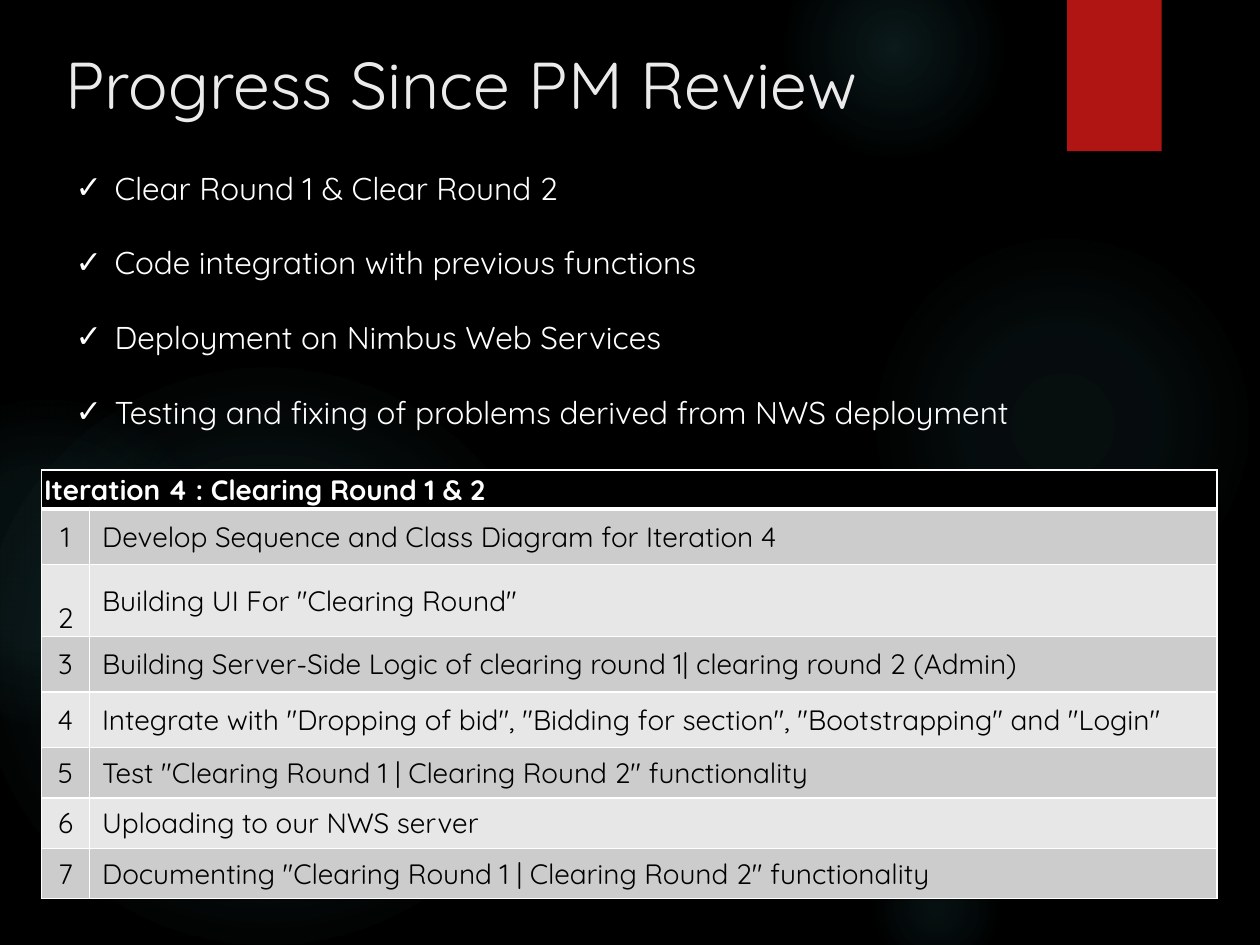
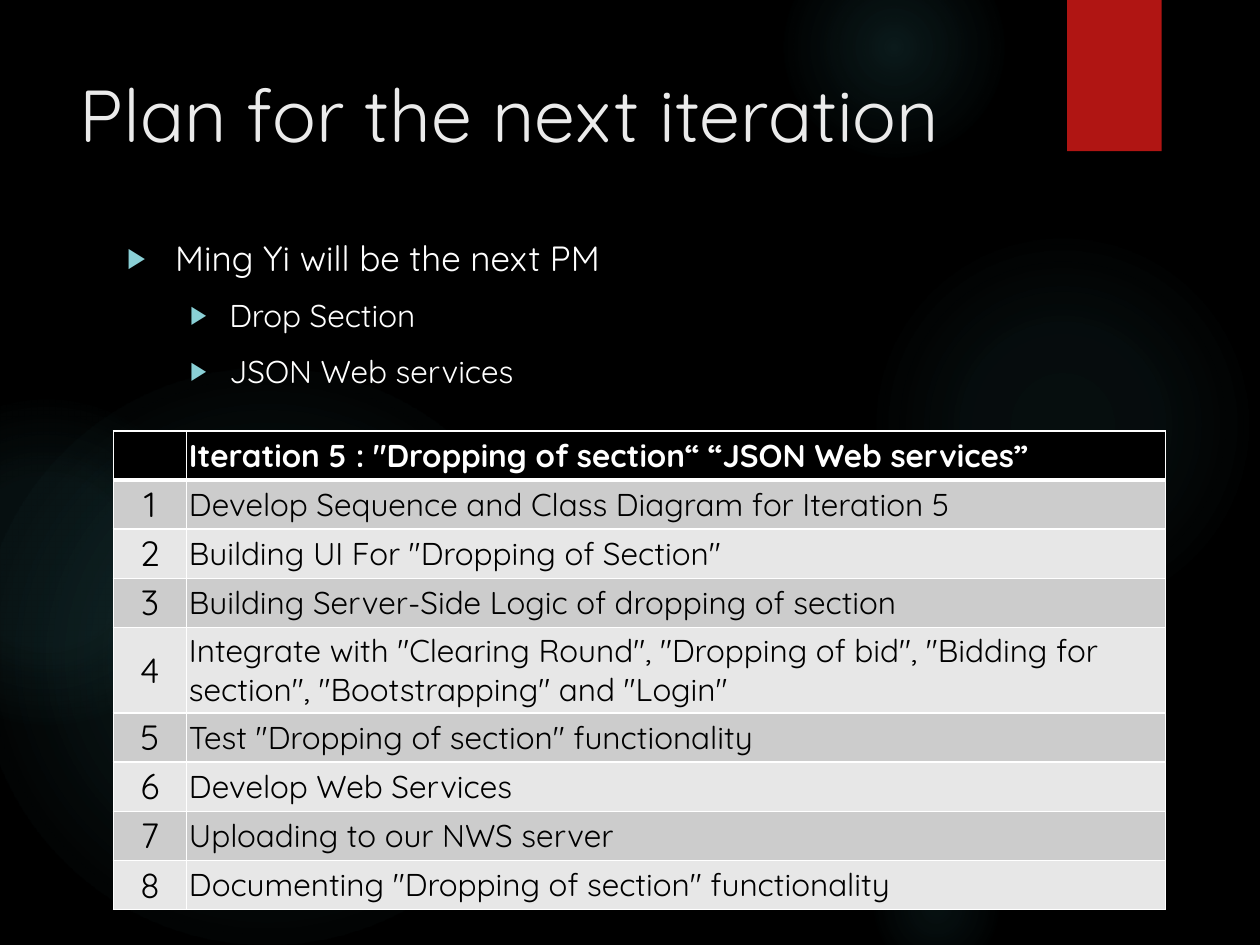
"""Builds two project review slides: progress so far and the next iteration."""
from lxml import etree
from pptx import Presentation
from pptx.dml.color import RGBColor
from pptx.enum.shapes import MSO_SHAPE as Shape
from pptx.enum.text import MSO_ANCHOR as Anchor, MSO_AUTO_SIZE as AutoSize, PP_ALIGN as Align
from pptx.oxml import parse_xml
from pptx.oxml.ns import nsdecls, qn
from pptx.util import Inches, Pt

FONT = "Quicksand"
BLACK = RGBColor(0x00, 0x00, 0x00)
WHITE = RGBColor(0xFF, 0xFF, 0xFF)
TITLE_GREY = RGBColor(0xEB, 0xEB, 0xEB)
RED = RGBColor(0xB0, 0x15, 0x13)
GLOW_TEAL = RGBColor(0x50, 0xB9, 0xC1)
BULLET_TEAL = RGBColor(0x8A, 0xD0, 0xD6)
BANDS = (RGBColor(0xCC, 0xCC, 0xCC), RGBColor(0xE7, 0xE7, 0xE7))
TIGHT = (0.02, 0.01)
ROOMY = (0.1, 0.05)

GLOWS = [
    (6.89, 1.83, 3.08, ((0, 7), (36, 6), (69, 0))),
    (6.22, -0.5, 1.75, ((0, 14), (36, 7), (73, 0))),
    (6.89, 6.67, 1.08, ((0, 9), (36, 5), (66, 0))),
    (-0.17, 2.92, 4.58, ((0, 11), (36, 10), (75, 0))),
    (-0.92, 3.17, 2.58, ((0, 8), (36, 8), (72, 0))),
]

PROGRESS = [
    "Clear Round 1 & Clear Round 2",
    "Code integration with previous functions",
    "Deployment on Nimbus Web Services",
    "Testing and fixing of problems derived from NWS deployment",
]
ITERATION_4 = [
    "Develop Sequence and Class Diagram for Iteration 4",
    'Building UI For "Clearing Round"',
    "Building Server-Side Logic of clearing round 1| clearing round 2 (Admin)",
    'Integrate with "Dropping of bid", "Bidding for section", "Bootstrapping" and "Login"',
    'Test "Clearing Round 1 | Clearing Round 2" functionality',
    "Uploading to our NWS server",
    'Documenting "Clearing Round 1 | Clearing Round 2" functionality',
]
ITERATION_5 = [
    "Develop Sequence and Class Diagram for Iteration 5",
    'Building UI For "Dropping of Section"',
    "Building Server-Side Logic of dropping of section",
    'Integrate with "Clearing Round", "Dropping of bid", "Bidding for section", '
    '"Bootstrapping" and "Login"',
    'Test "Dropping of section" functionality',
    "Develop Web Services",
    "Uploading to our NWS server",
    'Documenting "Dropping of section" functionality',
]


def add_span(para, text, size, color, bold=False):
    """Adds one formatted run to a paragraph."""
    span = para.add_run()
    span.text = text
    font = span.font
    font.name, font.size, font.bold = FONT, Pt(size), bold
    font.color.rgb = color


def place(shape, left, top, width, height):
    """Moves a placeholder and starts its text at the top."""
    shape.left, shape.top = Inches(left), Inches(top)
    shape.width, shape.height = Inches(width), Inches(height)
    frame = shape.text_frame
    frame.auto_size, frame.vertical_anchor = AutoSize.NONE, Anchor.TOP
    frame.word_wrap = True
    return frame


def set_title(page, text, size, at):
    """Fills the title placeholder."""
    para = place(page.shapes.title, *at).paragraphs[0]
    para.alignment = Align.LEFT
    add_span(para, text, size, TITLE_GREY)


def set_bullet(para, symbol, margin, hang, color=WHITE, percent=100):
    """Gives a paragraph its bullet and hanging indent."""
    props = para._p.get_or_add_pPr()
    props.set("marL", str(Inches(margin)))
    props.set("indent", str(-Inches(hang)))
    bullet_color = etree.SubElement(props, qn("a:buClr"))
    etree.SubElement(bullet_color, qn("a:srgbClr"), val=str(color))
    etree.SubElement(props, qn("a:buSzPct"), val=str(percent * 1000))
    etree.SubElement(props, qn("a:buFont"), typeface="Arial")
    etree.SubElement(props, qn("a:buChar"), char=symbol)


def set_list(page, items, at, space, **bullet):
    """Fills the body placeholder from (text, level, size, margin, hang) items."""
    frame = place(page.placeholders[1], *at)
    for index, (text, level, size, margin, hang) in enumerate(items):
        para = frame.add_paragraph() if index else frame.paragraphs[0]
        para.level = level
        para.space_before = Pt(space if index else 0)
        set_bullet(para, margin=margin, hang=hang, **bullet)
        add_span(para, text, size, WHITE)


def set_borders(cell, bottom=1):
    """Draws white lines around a cell."""
    props = cell._tc.get_or_add_tcPr()
    for index, (side, width) in enumerate((("L", 1), ("R", 1), ("T", 1), ("B", bottom))):
        props.insert(index, parse_xml(
            f'<a:ln{side} {nsdecls("a")} w="{Pt(width)}"><a:solidFill>'
            f'<a:srgbClr val="{WHITE}"/></a:solidFill></a:ln{side}>'))


def set_cell(cell, text, size, fill, insets=TIGHT, color=BLACK, bold=False,
             align=Align.LEFT, anchor=Anchor.MIDDLE, bottom=1):
    """Fills and frames one table cell."""
    cell.fill.solid()
    cell.fill.fore_color.rgb = fill
    cell.margin_left = cell.margin_right = Inches(insets[0])
    cell.margin_top = cell.margin_bottom = Inches(insets[1])
    cell.vertical_anchor = anchor
    set_borders(cell, bottom)
    if text:
        para = cell.text_frame.paragraphs[0]
        para.alignment = align
        add_span(para, text, size, color, bold)


def add_task_table(page, header, tasks, at, columns, rows, size, number_size, insets,
                   header_spans=False):
    """Adds a numbered task table below a black header row."""
    left, top = at
    table = page.shapes.add_table(
        len(rows), 2, Inches(left), Inches(top),
        Inches(sum(columns)), Inches(sum(rows))).table
    for column, width in zip(table.columns, columns):
        column.width = Inches(width)
    for row, height in zip(table.rows, rows):
        row.height = Inches(height)
    labels = (header, "") if header_spans else ("", header)
    anchor = Anchor.BOTTOM if header_spans else Anchor.MIDDLE
    for column, label in enumerate(labels):
        set_cell(table.cell(0, column), label, size, BLACK, color=WHITE, bold=True,
                 anchor=anchor, bottom=3)
    if header_spans:
        table.cell(0, 0).merge(table.cell(0, 1))
    for number, task in enumerate(tasks, 1):
        band = BANDS[(number - 1) % 2]
        set_cell(table.cell(number, 0), str(number), number_size, band, align=Align.CENTER)
        set_cell(table.cell(number, 1), task, size, band, insets)
    return table


def add_glow(page, left, top, size, stops):
    """Adds a soft round light that fades outwards."""
    glow = page.shapes.add_shape(
        Shape.OVAL, Inches(left), Inches(top), Inches(size), Inches(size))
    glow.shadow.inherit = False
    glow.line.fill.background()
    marks = "".join(
        f'<a:gs pos="{spot * 1000}"><a:srgbClr val="{GLOW_TEAL}">'
        f'<a:alpha val="{alpha * 1000}"/></a:srgbClr></a:gs>' for spot, alpha in stops)
    glow.element.spPr.insert(2, parse_xml(
        f'<a:gradFill {nsdecls("a")}><a:gsLst>{marks}</a:gsLst><a:path path="circle">'
        '<a:fillToRect l="50000" t="50000" r="50000" b="50000"/></a:path></a:gradFill>'))
    return glow


def add_ribbon(page):
    """Adds the red ribbon with its shadow."""
    ribbon = page.shapes.add_shape(
        Shape.RECTANGLE, Inches(8.47), Inches(0), Inches(0.75), Inches(1.2))
    ribbon.fill.solid()
    ribbon.fill.fore_color.rgb = RED
    ribbon.line.fill.background()
    ribbon.shadow.inherit = False
    ribbon.element.spPr.find(qn("a:effectLst")).append(parse_xml(
        f'<a:outerShdw {nsdecls("a")} blurRad="{Pt(3)}" dist="{Pt(2)}" dir="5400000">'
        f'<a:srgbClr val="{BLACK}"><a:alpha val="45000"/></a:srgbClr></a:outerShdw>'))
    return ribbon


def dress_master(deck, page):
    """Puts the black ground, glows and ribbon on the slide master."""
    master = deck.slide_master
    master.background.fill.solid()
    master.background.fill.fore_color.rgb = BLACK
    decor = [add_glow(page, *glow) for glow in GLOWS] + [add_ribbon(page)]
    for index, shape in enumerate(decor, 2):
        master.shapes.element.insert(index, shape.element)


def build_progress(page):
    """Fills the slide on work since the last review."""
    set_title(page, "Progress Since PM Review", 37.8, (0.42, 0.29, 7.42, 1))
    set_list(page, [(text, 0, 18, 0.31, 0.31) for text in PROGRESS],
             (0.5, 1.29, 8.25, 2.52), 21, symbol="✓")
    table = add_task_table(
        page, "Iteration 4 : Clearing Round 1 & 2", ITERATION_4, (0.33, 3.73), (0.38, 8.95),
        (0.31, 0.44, 0.35, 0.44, 0.44, 0.4, 0.4, 0.4), 16, 16, ROOMY, header_spans=True)
    table.cell(2, 0).text_frame.paragraphs[0].line_spacing = 2.0


def build_plan(page):
    """Fills the slide on the next iteration."""
    set_title(page, "Plan for the next iteration", 42, (0.53, 0.5, 7.72, 1.53))
    set_list(page, [
        ("Ming Yi will be the next PM", 0, 20, 0.38, 0.38),
        ("Drop Section", 1, 18, 0.81, 0.31),
        ("JSON Web services", 1, 18, 0.81, 0.31),
    ], (0.91, 1.83, 7.34, 5), 10, symbol="▶", color=BULLET_TEAL, percent=80)
    add_task_table(
        page, 'Iteration 5 : "Dropping of section“ “JSON Web services”', ITERATION_5,
        (0.9, 3.42), (0.58, 7.77), [0.39] * 4 + [0.68] + [0.39] * 4, 18, 20, TIGHT)


def main():
    """Builds and saves the deck."""
    deck = Presentation()
    deck.slide_width, deck.slide_height = Inches(10), Inches(7.5)
    layout = deck.slide_layouts[1]
    progress, plan = (deck.slides.add_slide(layout) for _ in range(2))
    dress_master(deck, progress)
    build_progress(progress)
    build_plan(plan)
    deck.save("out.pptx")


if __name__ == "__main__":
    main()
